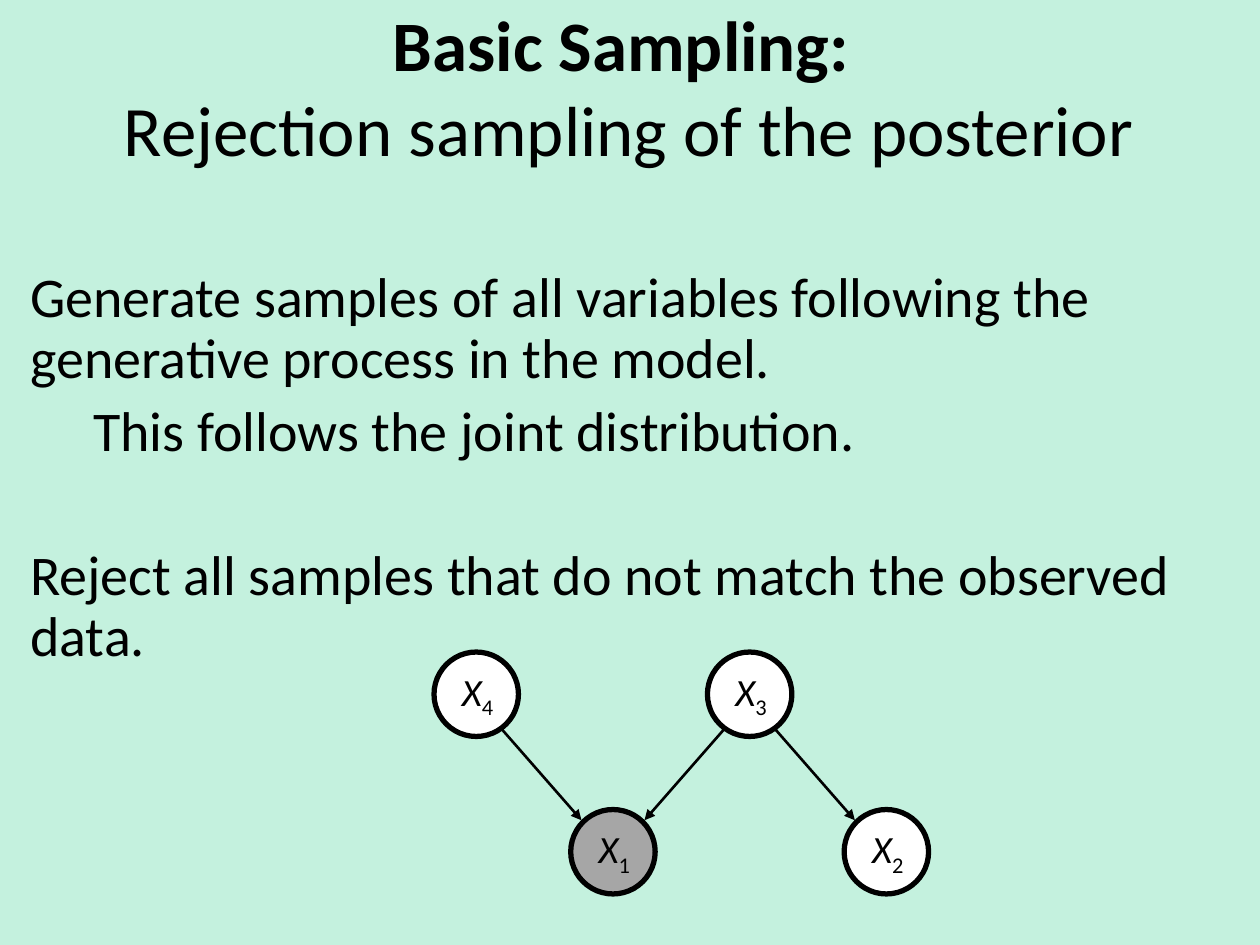
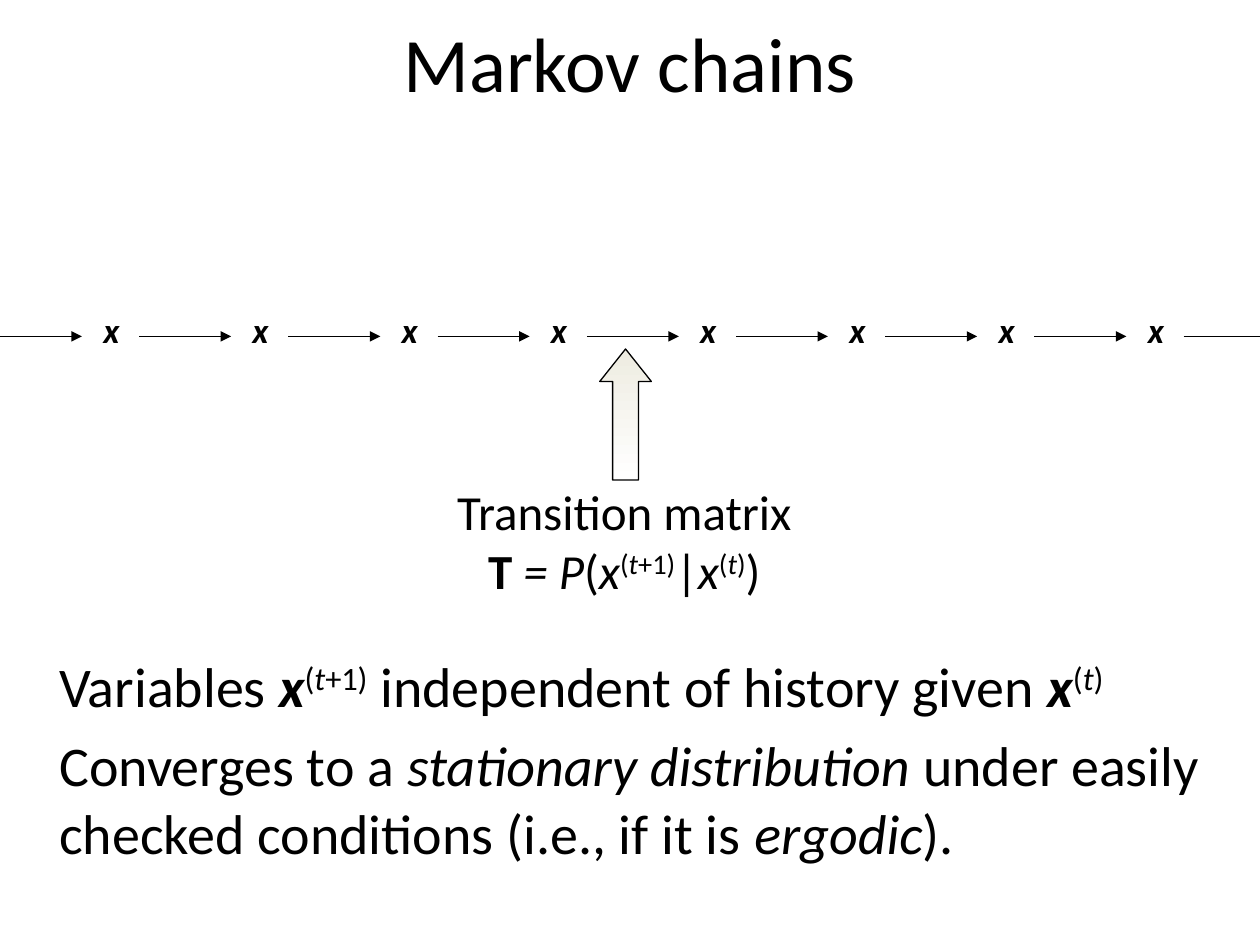
from lxml import etree
from pptx import Presentation
from pptx.dml.color import RGBColor
from pptx.enum.shapes import MSO_CONNECTOR, MSO_SHAPE
from pptx.enum.text import MSO_ANCHOR, MSO_AUTO_SIZE, PP_ALIGN
from pptx.oxml.ns import qn
from pptx.util import Inches, Pt

BLACK = RGBColor(0x00, 0x00, 0x00)
WHITE = RGBColor(0xFF, 0xFF, 0xFF)
MINT = RGBColor(0xC4, 0xF1, 0xDE)
OBSERVED_GRAY = RGBColor(0xA6, 0xA6, 0xA6)
IVORY = RGBColor(0xEE, 0xEC, 0xE1)
FONT = "Calibri"
LEFT, CENTER = PP_ALIGN.LEFT, PP_ALIGN.CENTER
TOP, MIDDLE = MSO_ANCHOR.TOP, MSO_ANCHOR.MIDDLE
FIT_SHAPE = MSO_AUTO_SIZE.SHAPE_TO_FIT_TEXT
STRAIGHT = MSO_CONNECTOR.STRAIGHT
OVAL, UP_ARROW = MSO_SHAPE.OVAL, MSO_SHAPE.UP_ARROW
BASELINES = {"^": "30000", "_": "-25000"}

NEXT_STEP = [("(", "^"), ("t", "i^"), ("+1)", "^")]
THIS_STEP = [("(", "^"), ("t", "i^"), (")", "^")]


class Deck:
    """Hold the shared style and the current slide, and draw elements on it."""

    def __init__(self):
        self.presentation = Presentation()
        self.presentation.slide_width = Inches(10)
        self.presentation.slide_height = Inches(7.5)
        self.slide = None

    def add_slide(self, background):
        self.slide = self.presentation.slides.add_slide(self.presentation.slide_layouts[6])
        self.slide.background.fill.solid()
        self.slide.background.fill.fore_color.rgb = background

    def add_runs(self, paragraph, runs, size):
        """Add (text, style) runs: b bold, i italic, ^ superscript, _ subscript."""
        for text, style in runs:
            if text == "\n":
                paragraph.add_line_break()
                continue
            run = paragraph.add_run()
            run.text = text
            run.font.name = FONT
            run.font.size = Pt(size)
            run.font.color.rgb = BLACK
            run.font.bold = "b" in style
            run.font.italic = "i" in style
            for mark, baseline in BASELINES.items():
                if mark in style:
                    run._r.get_or_add_rPr().set("baseline", baseline)

    def add_text(self, box, paragraphs, size, align=LEFT, anchor=TOP, wrap=True):
        shape = self.slide.shapes.add_textbox(*map(Inches, box))
        frame = shape.text_frame
        frame.word_wrap = wrap
        frame.vertical_anchor = anchor
        if not wrap:
            frame.auto_size = FIT_SHAPE
        frame.margin_left = frame.margin_right = Inches(0.05)
        frame.margin_top = frame.margin_bottom = Inches(0.05)
        for index, runs in enumerate(paragraphs):
            paragraph = frame.add_paragraph() if index else frame.paragraphs[0]
            paragraph.alignment = align
            self.add_runs(paragraph, runs, size)
        return frame.paragraphs

    def add_title(self, box, runs, size):
        self.add_text(box, [runs], size, CENTER, MIDDLE)

    def add_body(self, box, paragraphs, line_spacing=1.0):
        body = self.add_text(box, paragraphs, 32)
        for paragraph in body:
            paragraph.line_spacing = line_spacing
        for paragraph in body[1:]:
            paragraph.space_before = Pt(7)
        return body

    def add_shape(self, kind, box, line_width):
        shape = self.slide.shapes.add_shape(kind, *map(Inches, box))
        shape.shadow.inherit = False
        shape.line.color.rgb = BLACK
        shape.line.width = Pt(line_width)
        return shape

    def add_arrow(self, start, end, width):
        arrow = self.slide.shapes.add_connector(STRAIGHT, *map(Inches, (*start, *end)))
        arrow.line.color.rgb = BLACK
        arrow.line.width = Pt(width)
        properties = arrow._element.spPr
        etree.SubElement(properties.find(qn("a:ln")), qn("a:tailEnd"), type="triangle")
        etree.SubElement(properties, qn("a:effectLst"))

    def add_node(self, number, center, fill):
        x, y = center
        diameter = 0.67
        circle = self.add_shape(
            OVAL, (x - diameter / 2, y - diameter / 2, diameter, diameter), 3)
        circle.fill.solid()
        circle.fill.fore_color.rgb = fill
        label = [("X", "i"), (number, "_")]
        self.add_text((x - 0.18, y - 0.26, 0.38, 0.48), [label], 22, CENTER, wrap=False)

    def add_edge(self, parent, child):
        side = 1 if child[0] > parent[0] else -1
        start = (parent[0] + side * 0.17, parent[1] + 0.24)
        end = (child[0] - side * 0.25, child[1] - 0.25)
        self.add_arrow(start, end, 1.5)


def build_rejection_slide(deck):
    deck.add_slide(MINT)
    deck.add_title((0.08, 0.01, 9.83, 1.34),
                   [("Basic Sampling: ", "b"), ("\n", ""),
                    ("Rejection sampling of the posterior", "")], 40.5)
    steps = [
        "Generate samples of all variables following the generative process in the model.",
        "This follows the joint distribution.",
        "Reject all samples that do not match the observed data.",
    ]
    _, consequence, rejection = deck.add_body(
        (0.19, 2.09, 9.62, 3.37), [[(step, "")] for step in steps], 0.9)
    consequence._p.get_or_add_pPr().set("marL", str(Inches(0.5)))
    rejection.space_before = Pt(48)

    left, spacing, upper, lower = 3.78, 1.085, 5.51, 6.76
    centers = {
        "4": (left, upper),
        "1": (left + spacing, lower),
        "3": (left + 2 * spacing, upper),
        "2": (left + 3 * spacing, lower),
    }
    for parent, child in ("41", "32", "31"):
        deck.add_edge(centers[parent], centers[child])
    for number, center in centers.items():
        deck.add_node(number, center, OBSERVED_GRAY if number == "1" else WHITE)


def build_markov_slide(deck):
    deck.add_slide(WHITE)
    deck.add_title((0.5, 0.01, 9, 0.96), [("Markov chains", "")], 44)
    deck.add_body((0.42, 5.12, 9.18, 2.05), [
        [("Variables ", ""), ("x", "bi"), *NEXT_STEP,
         (" independent of history given ", ""), ("x", "bi"), *THIS_STEP],
        [("Converges to a ", ""), ("stationary distribution", "i"),
         (" under easily checked conditions (i.e., if it is ", ""),
         ("ergodic", "i"), (").", "")],
    ])

    state_count = 8
    pitch = (9.06 - 0.77) / (state_count - 1)
    for step in range(state_count):
        deck.add_text((0.77 + step * pitch, 2.4, 0.24, 0.37), [[("x", "bi")]], 20, wrap=False)
    for step in range(state_count + 1):
        x = step * pitch - 0.08
        deck.add_arrow((x, 2.67), (x + 0.73, 2.67), 0.75)

    pointer = deck.add_shape(UP_ARROW, (4.76, 2.77, 0.41, 1.04), 0.75)
    pointer.adjustments[0] = 0.5
    pointer.adjustments[1] = 0.63
    pointer.fill.gradient()
    pointer.fill.gradient_angle = 270
    for stop, color in zip(pointer.fill.gradient_stops, (IVORY, WHITE)):
        stop.color.rgb = color
    deck.add_text((3.57, 3.77, 2.77, 0.96), [
        [("Transition matrix", "")],
        [("T", "b"), (" = P", "i"), ("(", ""), ("x", "i"), *NEXT_STEP,
         ("|", ""), ("x", "i"), *THIS_STEP, (")", "")],
    ], 28, CENTER, wrap=False)


def main():
    deck = Deck()
    build_rejection_slide(deck)
    build_markov_slide(deck)
    deck.presentation.save("out.pptx")


if __name__ == "__main__":
    main()
